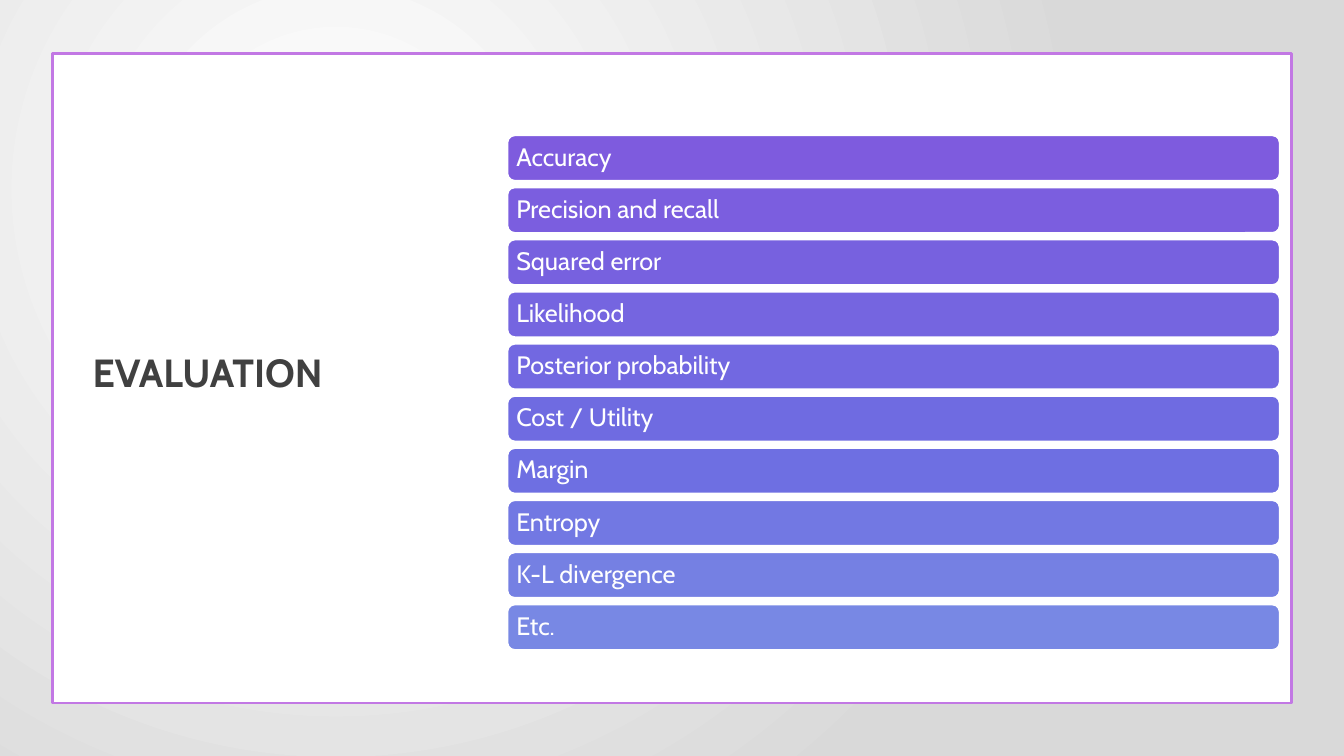
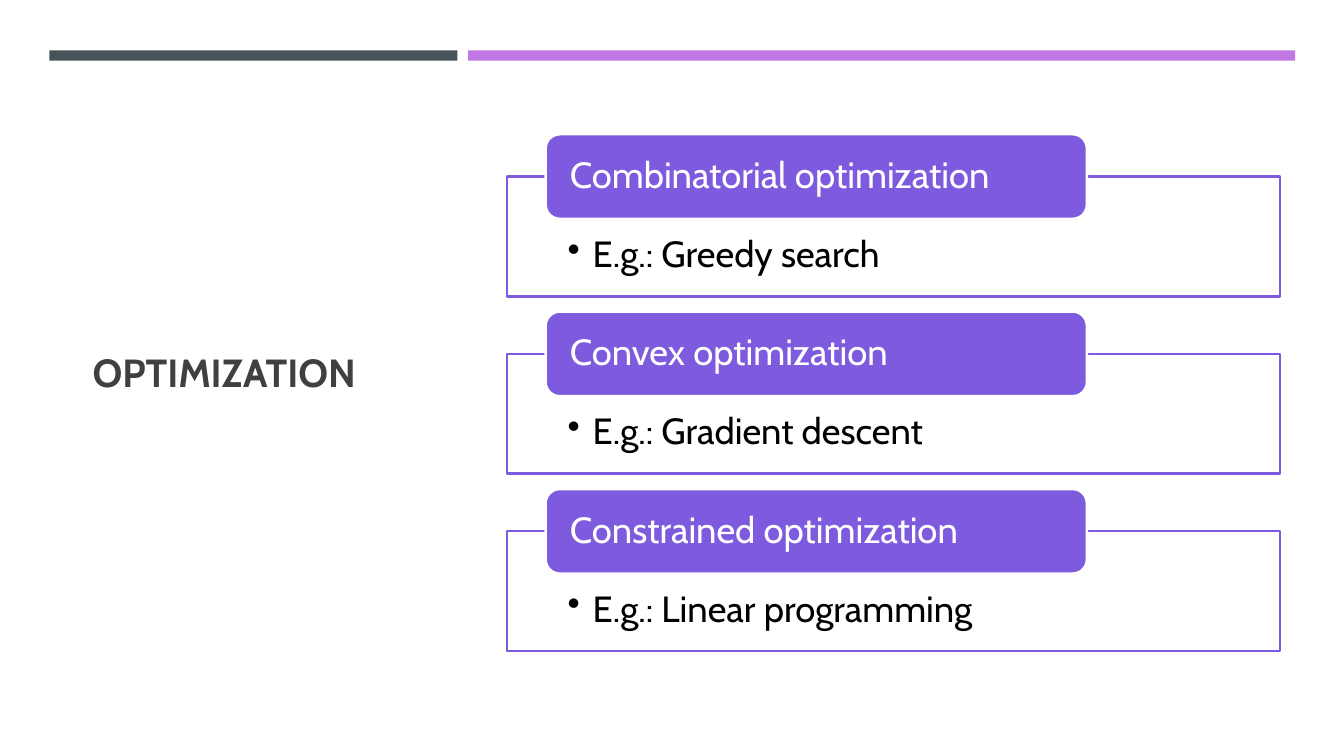
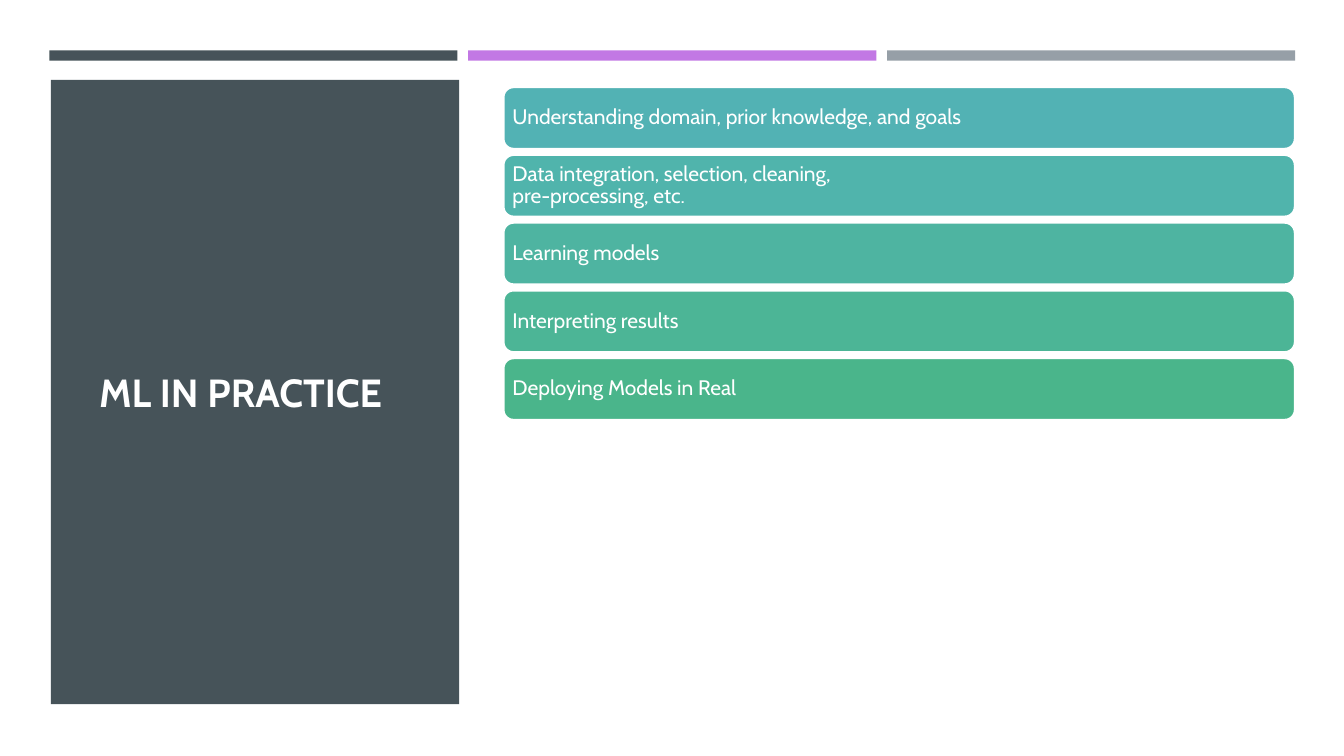
from lxml import etree
from pptx import Presentation
from pptx.dml.color import RGBColor
from pptx.enum.shapes import MSO_SHAPE
from pptx.enum.text import MSO_ANCHOR, MSO_AUTO_SIZE, PP_ALIGN
from pptx.oxml.ns import qn
from pptx.util import Pt

RECT = MSO_SHAPE.RECTANGLE
ROUND = MSO_SHAPE.ROUNDED_RECTANGLE
TOP = MSO_ANCHOR.TOP
MIDDLE = MSO_ANCHOR.MIDDLE
LEFT = PP_ALIGN.LEFT
FIXED = MSO_AUTO_SIZE.NONE

FONT = "Cabin"
HEX = {
    "white": "FFFFFF", "black": "000000", "ink": "404040",
    "slate": "465359", "pink": "C278E4", "gray": "969FA7",
    "pale": "D9D9D9", "violet": "7E5BDE",
}
RAMPS = {
    "violet": ["7E5BDE", "7B5EDF", "7761DF", "7565E0", "7268E1",
               "6F6BE1", "6E6FE2", "7278E3", "7580E3", "7888E4"],
    "teal": ["52B2B4", "50B4AC", "4EB4A1", "4CB596", "4AB58B"],
}


def tint(name):
    return RGBColor.from_string(HEX.get(name, name))


def write(shape, text, size=18, color="white", bold=False, anchor=MIDDLE,
          pads=(7.2, 3.6, 7.2, 3.6), space=0.9, bullet=False):
    frame = shape.text_frame
    frame.word_wrap = True
    frame.auto_size = FIXED
    frame.vertical_anchor = anchor
    frame.margin_left, frame.margin_top, frame.margin_right, frame.margin_bottom = map(Pt, pads)
    para = frame.paragraphs[0]
    para.text = text
    para.alignment = LEFT
    para.line_spacing = space
    for run in para.runs:
        run.font.name = FONT
        run.font.size = Pt(size)
        run.font.bold = bold
        run.font.color.rgb = tint(color)
    if bullet:
        props = para._p.get_or_add_pPr()
        props.set("marL", str(Pt(18)))
        props.set("indent", str(-Pt(18)))
        etree.SubElement(props, qn("a:buChar")).set("char", "•")


class Deck:
    def __init__(self):
        self.show = Presentation()
        self.show.slide_width = Pt(960)
        self.show.slide_height = Pt(540)
        self.slide = None

    def page(self):
        self.slide = self.show.slides.add_slide(self.show.slide_layouts[5])

    def glow(self):
        fill = self.slide.background.fill
        fill.gradient()
        for stop, name in zip(fill.gradient_stops, ("white", "pale")):
            stop.color.rgb = tint(name)
        grad = self.slide._element.find(".//" + qn("a:gradFill"))
        grad.remove(grad.find(qn("a:lin")))
        ring = etree.SubElement(grad, qn("a:path"))
        ring.set("path", "circle")
        rect = etree.SubElement(ring, qn("a:fillToRect"))
        for side, share in zip("ltrb", (50, 50, 100, 100)):
            rect.set(side, str(share * 1000))

    def block(self, x, y, w, h, fill, kind=RECT, line=None, weight=1.75):
        shape = self.slide.shapes.add_shape(kind, Pt(x), Pt(y), Pt(w), Pt(h))
        shape.shadow.inherit = False
        shape.fill.solid()
        shape.fill.fore_color.rgb = tint(fill)
        if line:
            shape.line.color.rgb = tint(line)
            shape.line.width = Pt(weight)
        else:
            shape.line.fill.background()
        return shape

    def title(self, text, x=59, y=82, w=240.5, h=371, color="ink"):
        shape = self.slide.shapes.title
        shape.left, shape.top, shape.width, shape.height = map(Pt, (x, y, w, h))
        write(shape, text, size=28, color=color, bold=True)
        self.slide.shapes._spTree.append(shape._element)

    def bands(self, *parts):
        x = 35.2
        for name, span in parts:
            wide = span * 299.2 - 7.6
            self.block(x, 36, wide, 7.4, name)
            x += wide + 7.6

    def bars(self, labels, ramp, x, y, w, h, step, size, pad, weight):
        for row, (label, hue) in enumerate(zip(labels, RAMPS[ramp])):
            bar = self.block(x, y + row * step, w, h, hue, ROUND, "white", weight)
            write(bar, label, size=size, pads=(pad,) * 4)

    def cards(self, pairs, x=362.2, y=95.9, step=126.7):
        for row, (head, note) in enumerate(pairs):
            top = y + row * step
            box = self.block(x, top + 30.2, 552.2, 85.6, "white", line="violet")
            write(box, note, size=26, color="black", anchor=TOP,
                  pads=(43.2, 42.5, 43.2, 14.4), bullet=True)
            tab = self.block(x + 27.6, top, 386.6, 60.4, "violet", ROUND, "white")
            write(tab, head, size=26, pads=(14.4, 0, 14.4, 0))


def main():
    deck = Deck()

    deck.page()
    deck.glow()
    deck.block(37.4, 38.1, 885, 464.2, "white", line="pink")
    deck.title("EVALUATION")
    deck.bars(["Accuracy", "Precision and recall", "Squared error",
               "Likelihood", "Posterior probability", "Cost / Utility",
               "Margin", "Entropy", "K-L divergence", "Etc."],
              "violet", x=362.2, y=96.4, w=552.2, h=33, step=37.24,
              size=18, pad=5, weight=1.75)

    deck.page()
    deck.title("OPTIMIZATION")
    deck.bands(("slate", 1), ("pink", 2))
    deck.cards([("Combinatorial optimization", "E.g.: Greedy search"),
                ("Convex optimization", "E.g.: Gradient descent"),
                ("Constrained optimization", "E.g.: Linear programming")])

    deck.page()
    deck.bands(("slate", 1), ("pink", 1), ("gray", 1))
    deck.block(36.3, 57, 291.6, 446, "slate")
    deck.title("ML IN PRACTICE", x=63.6, y=95.2, w=243.4, h=373, color="white")
    deck.bars(["Understanding domain, prior knowledge, and goals",
               "Data integration, selection, cleaning,\vpre-processing, etc.",
               "Learning models", "Interpreting results",
               "Deploying Models in Real"],
              "teal", x=359.4, y=62, w=565.8, h=44.6, step=48.4,
              size=15, pad=4.5, weight=2)

    deck.show.save("out.pptx")


if __name__ == "__main__":
    main()
